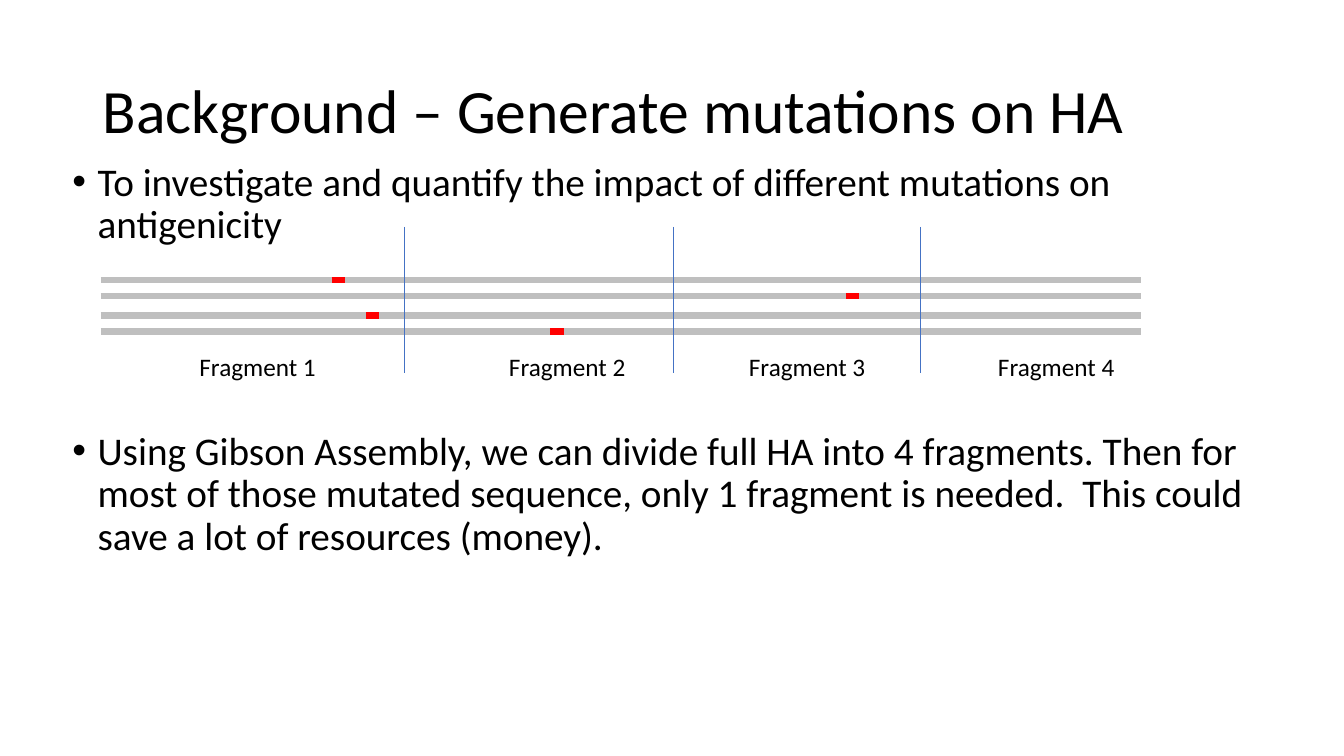
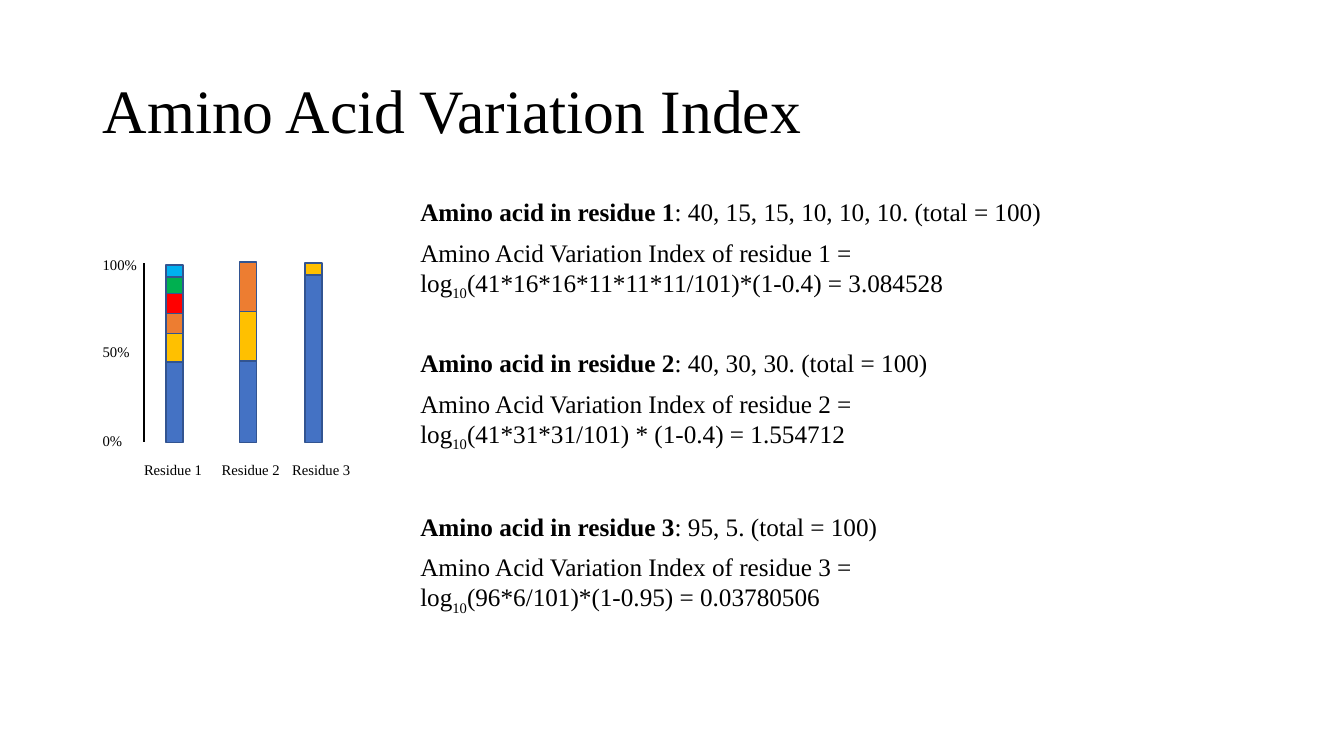
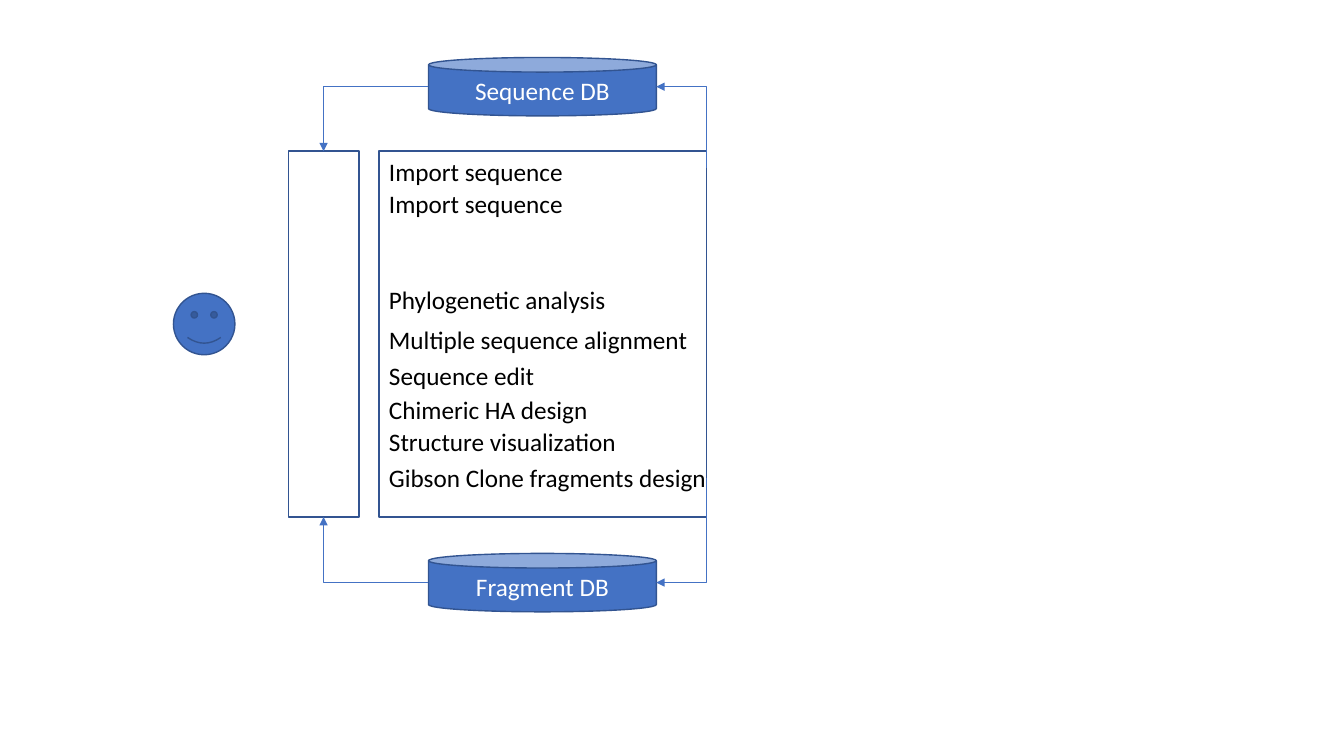
from dataclasses import dataclass

from lxml.etree import SubElement
from pptx import Presentation
from pptx.dml.color import RGBColor
from pptx.enum.shapes import MSO_CONNECTOR, MSO_SHAPE
from pptx.enum.text import MSO_ANCHOR, PP_ALIGN
from pptx.oxml.ns import qn
from pptx.util import Inches, Pt


@dataclass(frozen=True)
class Theme:
    sans: str = "Calibri"
    serif: str = "Times New Roman"
    black: str = "000000"
    white: str = "FFFFFF"
    blue: str = "4472C4"
    outline: str = "325491"
    yellow: str = "FFC000"
    orange: str = "ED7D31"
    red: str = "FF0000"
    green: str = "00B050"
    cyan: str = "00B0F0"
    gray: str = "BFBFBF"
    title_size: float = 44
    body_size: float = 28
    label_size: float = 18
    small_size: float = 10.5
    thin: float = 0.5
    border: float = 1
    axis: float = 1.5
    strand: float = 4.5


THEME = Theme()

# Content: mutations on HA (lengths in inches)
MUTATION_TITLE = "Background – Generate mutations on HA"
MUTATION_BULLETS = [  # text, space before in points
    ("To investigate and quantify the impact of different mutations on antigenicity", 10),
    ("Using Gibson Assembly, we can divide full HA into 4 fragments. Then for most of those "
     "mutated sequence, only 1 fragment is needed.  This could save a lot of resources (money).", 132),
]
STRANDS = [(2.78, 3.29), (2.94, 8.39), (3.13, 3.63), (3.29, 5.46)]  # height, mutation start
STRAND_LEFT, STRAND_RIGHT, MUTATION_WIDTH = 1, 11.32, 0.13
DIVIDERS = [4.01, 6.68, 9.13]
FRAGMENT_LEFTS = [1.88, 4.95, 7.33, 9.8]

# Content: variation index
INDEX_TITLE = "Amino Acid Variation Index"
AXIS_LABELS = [("100%", 2.49), ("50%", 3.35), ("0%", 4.23)]
BAR_WIDTH, BASELINE = 0.17, 4.39
RESIDUES = [
    {"center": 1.73, "label_left": 1.33, "top": 1.9,
     "segments": [(0.8, THEME.blue), (0.28, THEME.yellow), (0.2, THEME.orange),
                  (0.2, THEME.red), (0.16, THEME.green), (0.12, THEME.cyan)],
     "counts": "40, 15, 15, 10, 10, 10",
     "formula": "(41*16*16*11*11*11/101)*(1-0.4) = 3.084528"},
    {"center": 2.46, "label_left": 2.1, "top": 3.4,
     "segments": [(0.81, THEME.blue), (0.49, THEME.yellow), (0.49, THEME.orange)],
     "counts": "40, 30, 30",
     "formula": "(41*31*31/101) * (1-0.4) = 1.554712"},
    {"center": 3.11, "label_left": 2.8, "top": 5.02,
     "segments": [(1.66, THEME.blue), (0.12, THEME.yellow)],
     "counts": "95, 5",
     "formula": "(96*6/101)*(1-0.95) = 0.03780506"},
]

# Content: system diagram
FUNCTIONS = [
    ("Import sequence", 1.5), ("Import sequence", 1.82), ("Phylogenetic analysis", 2.77),
    ("Multiple sequence alignment", 3.17), ("Sequence edit", 3.53),
    ("Chimeric HA design", 3.86), ("Structure visualization", 4.18),
    ("Gibson Clone fragments design", 4.54),
]
INTERFACE_PANEL = (2.86, 1.5, 0.7, 3.63)
FUNCTION_PANEL = (3.76, 1.5, 3.25, 3.63)
DATABASE_LEFT, DATABASE_WIDTH, DATABASE_HEIGHT = 4.25, 2.26, 0.58
DATABASES = [  # name, top, panel edge below or above, end height at the function panel
    ("Sequence DB", 0.57, 1.5, 1.67),
    ("Fragment DB", 5.49, 5.13, 4.74),
]


# Shared helpers
def style_font(font, size, name=THEME.sans, color=THEME.black):
    font.size, font.name = Pt(size), name
    font.color.rgb = RGBColor.from_string(color)


def add_text(slide, box, paragraphs, size, name=THEME.sans):
    """Each paragraph is a list of runs: (text, style), style being "", "bold" or "sub"."""
    frame = slide.shapes.add_textbox(*map(Inches, box)).text_frame
    frame.word_wrap = True
    for index, runs in enumerate(paragraphs):
        paragraph = frame.paragraphs[0] if index == 0 else frame.add_paragraph()
        style_font(paragraph.font, size, name)
        for text, style in runs:
            run = paragraph.add_run()
            run.text = text
            if style == "bold":
                run.font.bold = True
            elif style == "sub":
                run._r.get_or_add_rPr().set("baseline", "-25000")
    return frame


def add_label(slide, box, text, size=THEME.label_size, name=THEME.sans):
    return add_text(slide, box, [[(text, "")]], size, name)


def add_title(slide, text, name=THEME.sans):
    frame = add_label(slide, (0.92, 0.4, 11.5, 1.45), text, THEME.title_size, name)
    frame.vertical_anchor = MSO_ANCHOR.MIDDLE
    frame.paragraphs[0].line_spacing = 0.9


def add_box(slide, kind, box, fill=None):
    shape = slide.shapes.add_shape(kind, *map(Inches, box))
    shape.shadow.inherit = False
    if fill:
        shape.fill.solid()
        shape.fill.fore_color.rgb = RGBColor.from_string(fill)
    else:
        shape.fill.background()
    shape.line.color.rgb = RGBColor.from_string(THEME.outline)
    shape.line.width = Pt(THEME.border)
    return shape


def add_line(slide, start, end, color, width, kind=MSO_CONNECTOR.STRAIGHT):
    connector = slide.shapes.add_connector(kind, *map(Inches, (*start, *end)))
    connector.line.color.rgb = RGBColor.from_string(color)
    connector.line.width = Pt(width)
    SubElement(connector._element.spPr, qn("a:effectLst"))
    return connector


def add_corner(slide, start, end, arrow):
    """Run sideways from start, then up or down to end; arrow is headEnd or tailEnd."""
    connector = add_line(slide, start, end, THEME.blue, THEME.thin, MSO_CONNECTOR.ELBOW)
    connector._element.spPr.find(qn("a:prstGeom")).set("prst", "bentConnector2")
    SubElement(connector.line._get_or_add_ln(), qn(f"a:{arrow}")).set("type", "triangle")


def add_bullet(paragraph):
    properties = paragraph._p.get_or_add_pPr()
    properties.set("marL", str(Inches(0.25)))
    properties.set("indent", str(-Inches(0.25)))
    SubElement(properties, qn("a:buFont")).set("typeface", "Arial")
    SubElement(properties, qn("a:buChar")).set("char", "•")


# Slides
def build_mutations(slide):
    add_title(slide, MUTATION_TITLE)
    frame = add_text(slide, (0.62, 1.56, 12.09, 4.76),
                     [[(text, "")] for text, _ in MUTATION_BULLETS], THEME.body_size)
    for paragraph, (_, space) in zip(frame.paragraphs, MUTATION_BULLETS):
        paragraph.line_spacing = 0.9
        paragraph.space_before = Pt(space)
        properties = paragraph._p.get_or_add_pPr()
        default_font = properties.find(qn("a:defRPr"))
        add_bullet(paragraph)
        if default_font is not None:
            properties.append(default_font)  # must follow the bullet

    for y, _ in STRANDS:
        add_line(slide, (STRAND_LEFT, y), (STRAND_RIGHT, y), THEME.gray, THEME.strand)
    for y, x in STRANDS:
        add_line(slide, (x, y), (x + MUTATION_WIDTH, y), THEME.red, THEME.strand)
    for x in DIVIDERS:
        add_line(slide, (x, 2.25), (x, 3.7), THEME.blue, THEME.thin)
    for number, left in enumerate(FRAGMENT_LEFTS, 1):
        add_label(slide, (left, 3.44, 1.5, 0.4), f"Fragment {number}")


def build_index(slide):
    add_title(slide, INDEX_TITLE, THEME.serif)
    add_line(slide, (1.43, 2.61), (1.43, BASELINE), THEME.black, THEME.axis)
    for text, top in AXIS_LABELS:
        add_label(slide, (0.92, top, 0.6, 0.28), text, THEME.small_size, THEME.serif)

    for number, residue in enumerate(RESIDUES, 1):
        # Stacked bar
        top = BASELINE
        for height, color in residue["segments"]:
            top -= height
            left = residue["center"] - BAR_WIDTH / 2
            add_box(slide, MSO_SHAPE.RECTANGLE, (left, top, BAR_WIDTH, height), color)
        add_label(slide, (residue["label_left"], 4.52, 0.85, 0.28), f"Residue {number}",
                  THEME.small_size, THEME.serif)
        # Calculation
        heading = [(f"Amino acid in residue {number}", "bold"),
                   (f": {residue['counts']}. (total = 100)", "")]
        formula = [[(f"Amino Acid Variation Index of residue {number} =", "")],
                   [("log", ""), ("10", "sub"), (residue["formula"], "")]]
        add_text(slide, (4.07, residue["top"], 6.5, 0.4), [heading],
                 THEME.label_size, THEME.serif)
        add_text(slide, (4.07, residue["top"] + 0.4, 5.6, 0.71), formula,
                 THEME.label_size, THEME.serif)


def build_system(slide):
    add_box(slide, MSO_SHAPE.SMILEY_FACE, (1.72, 2.91, 0.61, 0.61), THEME.blue)
    for panel in (INTERFACE_PANEL, FUNCTION_PANEL):
        add_box(slide, MSO_SHAPE.RECTANGLE, panel)
    for text, top in FUNCTIONS:
        add_label(slide, (FUNCTION_PANEL[0], top, 3.5, 0.4), text)

    interface_center = INTERFACE_PANEL[0] + INTERFACE_PANEL[2] / 2
    function_right = FUNCTION_PANEL[0] + FUNCTION_PANEL[2]
    for name, top, panel_edge, function_y in DATABASES:
        database = add_box(slide, MSO_SHAPE.CAN,
                           (DATABASE_LEFT, top, DATABASE_WIDTH, DATABASE_HEIGHT), THEME.blue)
        database.text_frame.vertical_anchor = MSO_ANCHOR.MIDDLE
        paragraph = database.text_frame.paragraphs[0]
        paragraph.text = name
        paragraph.alignment = PP_ALIGN.CENTER
        style_font(paragraph.font, THEME.label_size, color=THEME.white)

        middle = top + DATABASE_HEIGHT / 2
        add_corner(slide, (DATABASE_LEFT, middle), (interface_center, panel_edge), "tailEnd")
        add_corner(slide, (DATABASE_LEFT + DATABASE_WIDTH, middle),
                   (function_right, function_y), "headEnd")


def main():
    presentation = Presentation()
    presentation.slide_width, presentation.slide_height = Inches(13.33), Inches(7.5)
    for build in (build_mutations, build_index, build_system):
        build(presentation.slides.add_slide(presentation.slide_layouts[6]))
    presentation.save("out.pptx")


if __name__ == "__main__":
    main()
